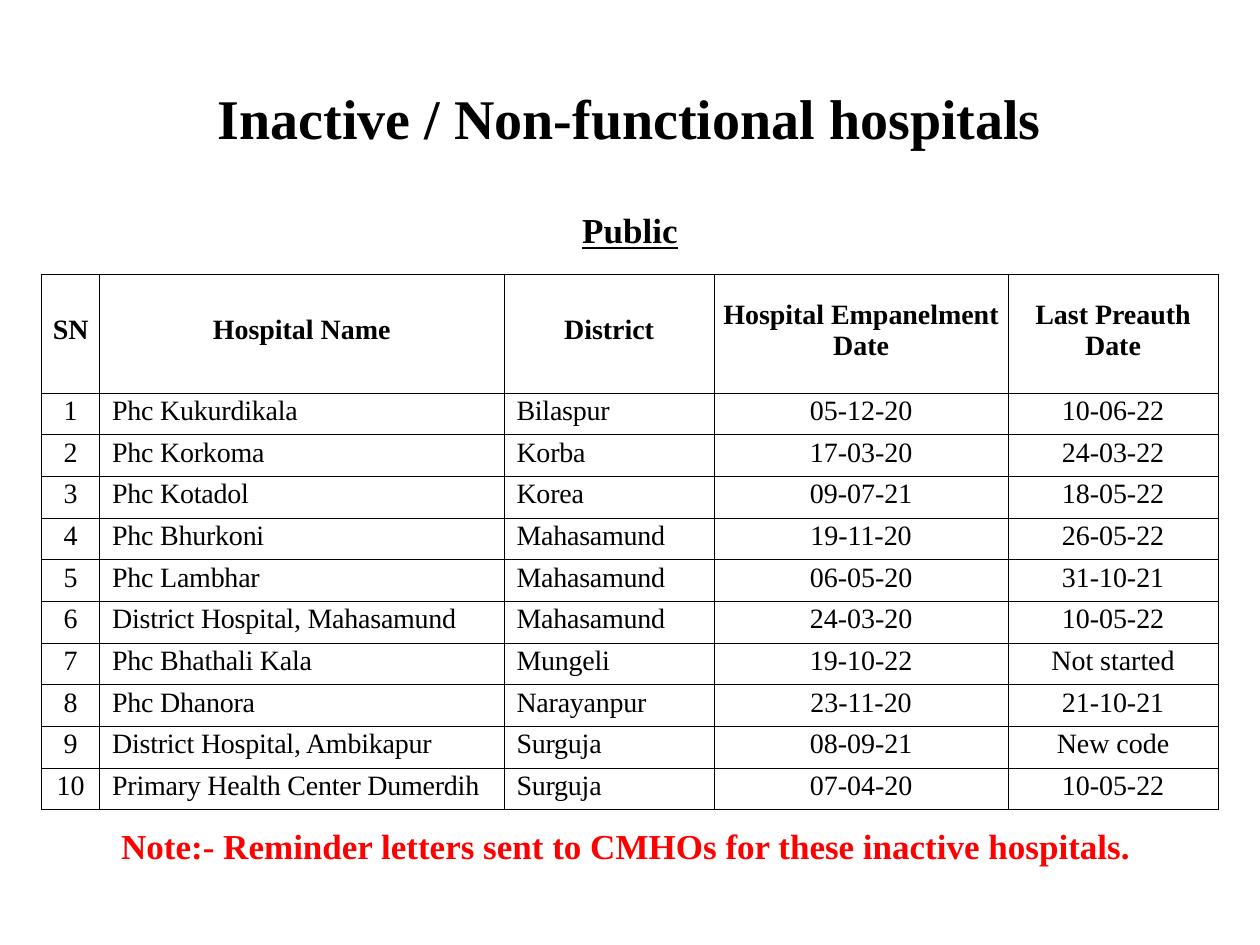
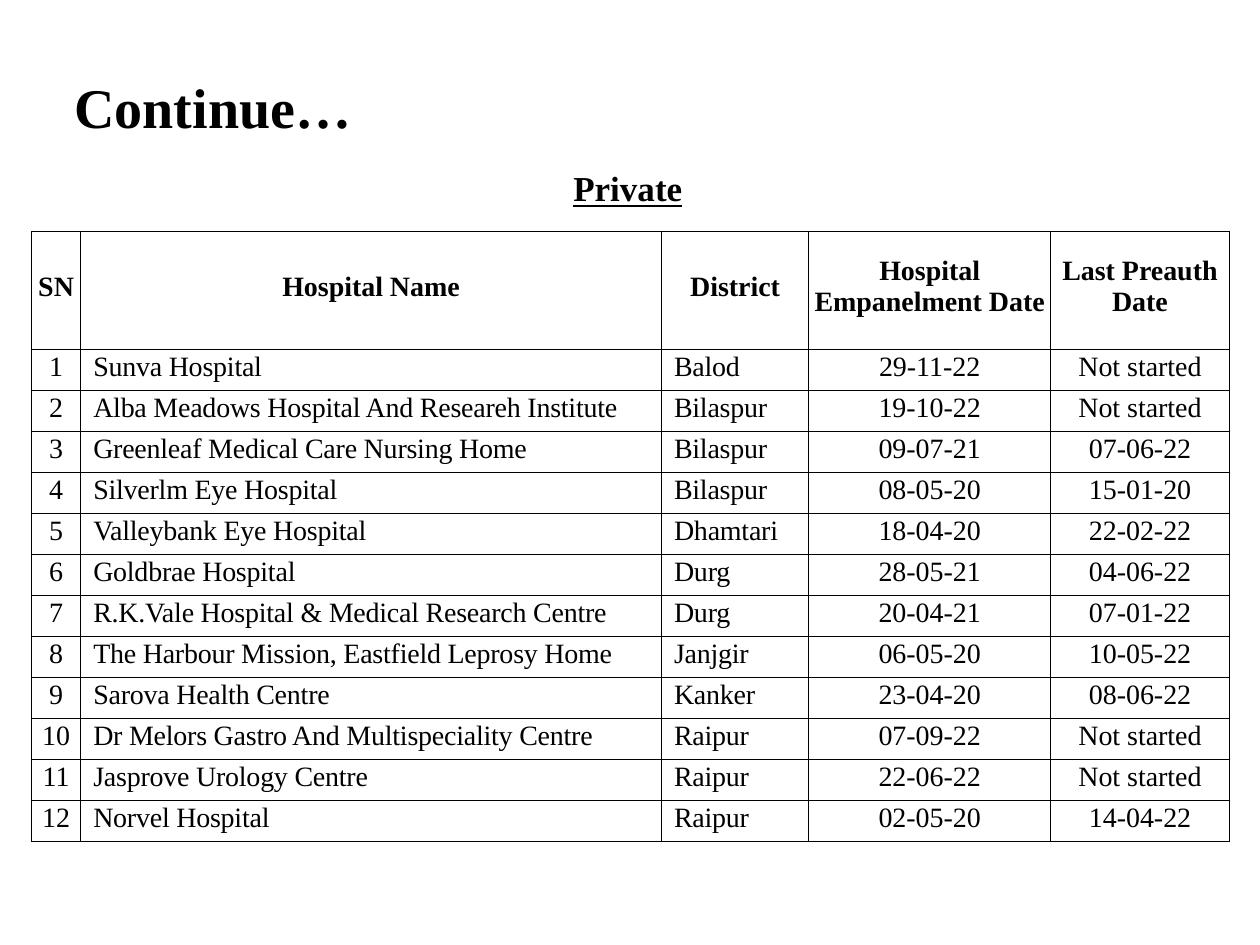
from lxml import etree
from pptx import Presentation
from pptx import util as u
from pptx.dml.color import RGBColor
from pptx.enum import text
from pptx.oxml.ns import qn

Pt = u.Pt
BLACK, RED = "000000", "FF0000"
LEFT, CENTER = text.PP_ALIGN.LEFT, text.PP_ALIGN.CENTER
HEADINGS = ["SN", "Hospital Name", "District", "Hospital Empanelment Date", "Last Preauth Date"]
ALIGNMENTS = [CENTER, LEFT, LEFT, CENTER, CENTER]

PUBLIC_HOSPITALS = [
    ("Phc Kukurdikala", "Bilaspur", "05-12-20", "10-06-22"),
    ("Phc Korkoma", "Korba", "17-03-20", "24-03-22"),
    ("Phc Kotadol", "Korea", "09-07-21", "18-05-22"),
    ("Phc Bhurkoni", "Mahasamund", "19-11-20", "26-05-22"),
    ("Phc Lambhar", "Mahasamund", "06-05-20", "31-10-21"),
    ("District Hospital, Mahasamund", "Mahasamund", "24-03-20", "10-05-22"),
    ("Phc Bhathali Kala", "Mungeli", "19-10-22", "Not started"),
    ("Phc Dhanora", "Narayanpur", "23-11-20", "21-10-21"),
    ("District Hospital, Ambikapur", "Surguja", "08-09-21", "New code"),
    ("Primary Health Center Dumerdih", "Surguja", "07-04-20", "10-05-22"),
]
PRIVATE_HOSPITALS = [
    ("Sunva Hospital", "Balod", "29-11-22", "Not started"),
    ("Alba Meadows Hospital And Researeh Institute", "Bilaspur", "19-10-22", "Not started"),
    ("Greenleaf Medical Care Nursing Home", "Bilaspur", "09-07-21", "07-06-22"),
    ("Silverlm Eye Hospital", "Bilaspur", "08-05-20", "15-01-20"),
    ("Valleybank Eye Hospital", "Dhamtari", "18-04-20", "22-02-22"),
    ("Goldbrae Hospital", "Durg", "28-05-21", "04-06-22"),
    ("R.K.Vale Hospital & Medical Research Centre", "Durg", "20-04-21", "07-01-22"),
    ("The Harbour Mission, Eastfield Leprosy Home", "Janjgir", "06-05-20", "10-05-22"),
    ("Sarova Health Centre", "Kanker", "23-04-20", "08-06-22"),
    ("Dr Melors Gastro And Multispeciality Centre", "Raipur", "07-09-22", "Not started"),
    ("Jasprove Urology Centre", "Raipur", "22-06-22", "Not started"),
    ("Norvel Hospital", "Raipur", "02-05-20", "14-04-22"),
]


def color(hex_string):
    return RGBColor.from_string(hex_string)


class Deck:
    """Shared style plus the slide being filled."""
    font_name = "Times New Roman"
    border_width = 0.5

    def __init__(self):
        self.presentation = Presentation()
        self.presentation.slide_width = Pt(720)
        self.presentation.slide_height = Pt(540)
        self.slide = None

    def set_text(self, frame, content, size, fill=BLACK, bold=True, underline=False,
                 alignment=LEFT, before=0, spacing=0):
        frame.text = content
        paragraph = frame.paragraphs[0]
        paragraph.alignment = alignment
        paragraph.space_before = Pt(before)
        for run in paragraph.runs:
            font = run.font
            font.name, font.size = self.font_name, Pt(size)
            font.bold, font.underline = bold, underline
            font.color.rgb = color(fill)
            if spacing:
                run._r.get_or_add_rPr().set("spc", str(round(spacing * 100)))

    def place(self, shape, box, content, size, wrap=False, **style):
        shape.left, shape.top, shape.width, shape.height = map(Pt, box)
        frame = shape.text_frame
        frame.margin_left = frame.margin_right = frame.margin_bottom = 0
        frame.margin_top = Pt(1)
        frame.vertical_anchor = text.MSO_ANCHOR.TOP
        frame.auto_size = text.MSO_AUTO_SIZE.NONE
        frame.word_wrap = wrap
        self.set_text(frame, content, size, before=1, **style)

    def add_slide(self, title, box):
        self.slide = self.presentation.slides.add_slide(self.presentation.slide_layouts[5])
        self.place(self.slide.shapes.title, box, title, 32)

    def label(self, box, content, **style):
        self.place(self.slide.shapes.add_textbox(*map(Pt, box)), box, content, 20, **style)

    def borders(self, cell, visible="LRTB"):
        properties = cell._tc.get_or_add_tcPr()
        for index, side in enumerate("LRTB"):
            line = etree.Element(qn(f"a:ln{side}"), w=str(Pt(self.border_width)))
            if side in visible:
                fill = etree.SubElement(line, qn("a:solidFill"))
                etree.SubElement(fill, qn("a:srgbClr"), val=BLACK)
            else:
                etree.SubElement(line, qn("a:noFill"))
            properties.insert(index, line)

    def cell(self, cell, content, top=0, bottom=0, anchor=text.MSO_ANCHOR.TOP,
             visible="LRTB", **style):
        cell.margin_left = cell.margin_right = 0
        cell.margin_top, cell.margin_bottom = Pt(top), Pt(bottom)
        cell.vertical_anchor = anchor
        cell.fill.background()
        self.borders(cell, visible)
        self.set_text(cell.text_frame, content, **style)

    def hospital_table(self, left, top, widths, hospitals, header_height, row_height,
                       caption=None, caption_height=0):
        header_row = 1 if caption else 0
        heights = [caption_height] * header_row + [header_height] + [row_height] * len(hospitals)
        frame = self.slide.shapes.add_table(
            len(heights), len(widths), Pt(left), Pt(top), Pt(sum(widths)), Pt(sum(heights)))
        table = frame.table
        table.first_row = table.horz_banding = False
        for column, width in zip(table.columns, widths):
            column.width = Pt(width)
        for row, height in zip(table.rows, heights):
            row.height = Pt(height)

        # Caption across all columns
        if caption:
            for caption_cell in table.rows[0].cells:
                self.cell(caption_cell, "", visible="B", size=20)
            first = table.cell(0, 0)
            first.merge(table.cell(0, len(widths) - 1))
            self.set_text(first.text_frame, caption, 20, underline=True, alignment=CENTER)
            first.text_frame.paragraphs[0].line_spacing = Pt(21.9)

        # Column headings
        for column, heading in enumerate(HEADINGS):
            self.cell(table.cell(header_row, column), heading, bottom=4, size=16,
                      anchor=text.MSO_ANCHOR.MIDDLE, alignment=CENTER)

        # Numbered hospitals
        for number, hospital in enumerate(hospitals, 1):
            for column, value in enumerate((str(number), *hospital)):
                alignment = ALIGNMENTS[column]
                is_name = alignment == LEFT
                body_cell = table.cell(header_row + number, column)
                self.cell(body_cell, value, top=1.4, size=16, bold=False, before=1.7,
                          alignment=alignment, spacing=-0.1 if is_name else 0)
                if is_name:
                    body_cell.margin_left = Pt(7.2)


def main():
    deck = Deck()

    # Public hospitals
    deck.add_slide("Inactive / Non-functional hospitals", (124.5, 46.8, 472, 40.3))
    deck.hospital_table(23.8, 121.7, (33.1, 231.1, 120.2, 167.8, 120.2), PUBLIC_HOSPITALS,
                        67.7, 23.82, caption="Public", caption_height=35.3)
    deck.label((69.2, 470.2, 577.4, 26), wrap=True, fill=RED,
               content="Note:- Reminder letters sent to CMHOs for these inactive hospitals.")

    # Private hospitals
    deck.add_slide("Continue…", (42.5, 40.3, 160.6, 40.3))
    deck.hospital_table(18, 132.5, (28.1, 331.9, 84.2, 138.2, 102.2), PRIVATE_HOSPITALS,
                        67, 23.45)
    deck.label((327.6, 94.3, 64.1, 26), "Private", underline=True)

    deck.presentation.save("out.pptx")


if __name__ == "__main__":
    main()
